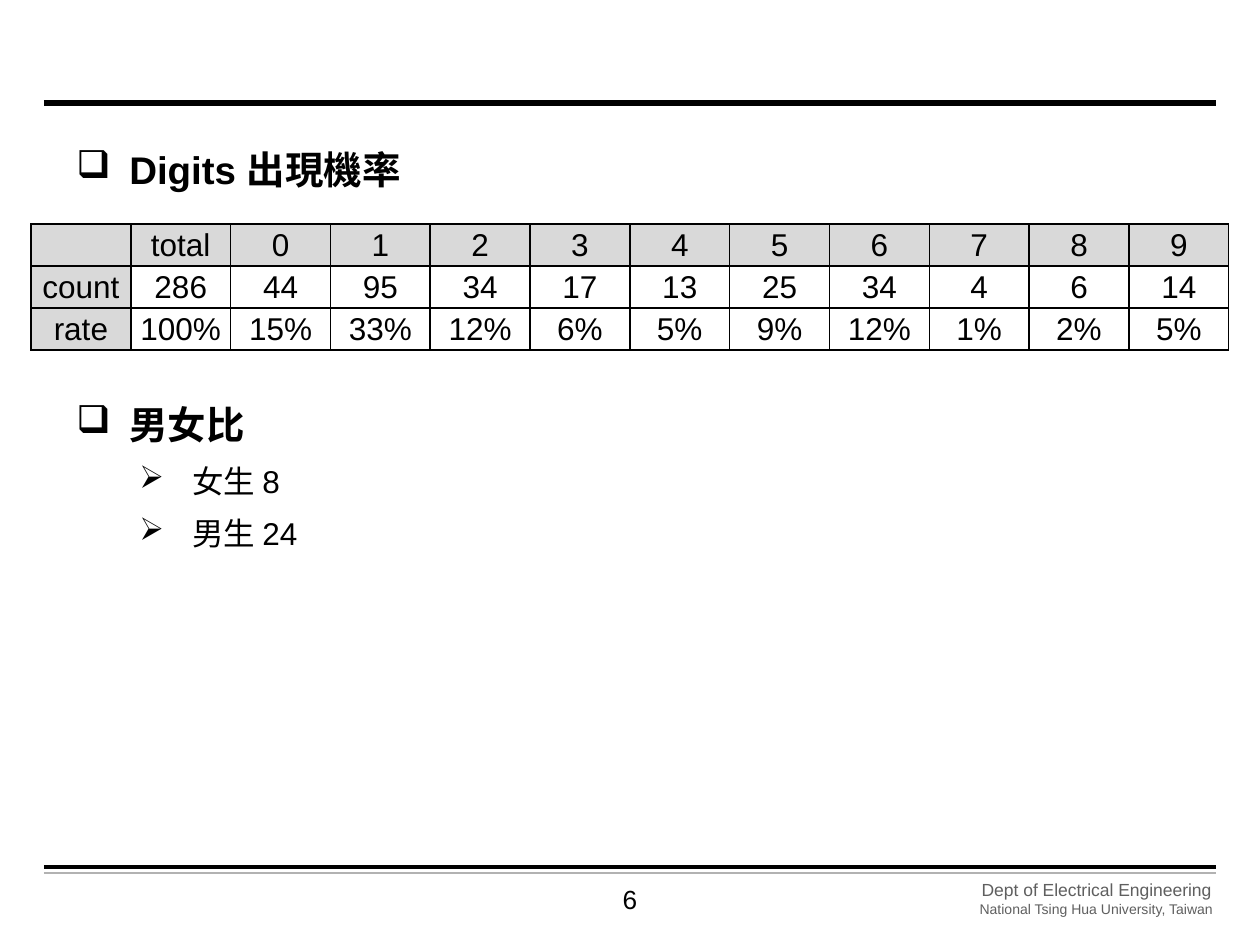
from dataclasses import dataclass

from lxml import etree
from pptx import Presentation
from pptx.dml.color import RGBColor
from pptx.enum.shapes import MSO_CONNECTOR
from pptx.enum.text import MSO_ANCHOR, PP_ALIGN
from pptx.oxml.ns import qn
from pptx.util import Pt

STRAIGHT = MSO_CONNECTOR.STRAIGHT
CENTER, LEFT = PP_ALIGN.CENTER, PP_ALIGN.LEFT
MIDDLE = MSO_ANCHOR.MIDDLE
EMU_PER_PX = 914400 // 126


@dataclass(frozen=True)
class Theme:
    """Colours and type sizes of the slide."""
    font: str = "Arial"
    ink: str = "000000"
    muted: str = "5F5F5F"
    shade: str = "B2B2B2"
    header: str = "D9D9D9"
    heading: int = 22
    item: int = 18
    number: int = 15
    department: int = 10
    university: int = 8
    line_spacing: float = 1.21


THEME = Theme()
DIGIT_ROWS = [
    ["", "total", "0", "1", "2", "3", "4", "5", "6", "7", "8", "9"],
    ["count", "286", "44", "95", "34", "17", "13", "25", "34", "4", "6", "14"],
    ["rate", "100%", "15%", "33%", "12%", "6%", "5%", "9%", "12%", "1%", "2%", "5%"],
]
OUTLINE = [
    (0, "Digits 出現機率", 4.4),
    (0, "男女比", 114),
    (1, "女生 8", 3.6),
    (1, "男生 24", 3.6),
]


def px(length):
    """Turn pixels into EMU."""
    return round(length * EMU_PER_PX)


def style_paragraph(paragraph, size, color=THEME.ink, bold=False, align=CENTER):
    """Set the alignment and font of a paragraph and its runs."""
    paragraph.alignment = align
    for font in [paragraph.font] + [run.font for run in paragraph.runs]:
        font.name = THEME.font
        font.size = Pt(size)
        font.bold = bold
        font.color.rgb = RGBColor.from_string(color)


def add_text_frame(slide, box, wrap=True):
    """Add a text box and return its text frame."""
    text_frame = slide.shapes.add_textbox(*map(px, box)).text_frame
    text_frame.word_wrap = wrap
    return text_frame


def add_rule(slide, left, top, width, color, weight):
    """Draw a horizontal rule."""
    connector = slide.shapes.add_connector(
        STRAIGHT, px(left), px(top), px(left + width), px(top))
    connector.line.color.rgb = RGBColor.from_string(color)
    connector.line.width = Pt(weight)
    etree.SubElement(connector._element.spPr, qn("a:effectLst"))


def set_bullet(paragraph, character, margin, hang):
    """Give a paragraph a hanging bullet."""
    properties = paragraph._p.get_or_add_pPr()
    properties.set("marL", str(px(margin)))
    properties.set("indent", str(px(-hang)))
    bullet = etree.Element(qn("a:buChar"), char=character)
    properties.insert_element_before(bullet, "a:tabLst", "a:defRPr", "a:extLst")


def add_outline(slide, box, entries):
    """Write the headings and their items."""
    text_frame = add_text_frame(slide, box)
    text_frame.text = "\n".join(text for _, text, _ in entries)
    for paragraph, (level, _, space) in zip(text_frame.paragraphs, entries):
        size = THEME.item if level else THEME.heading
        style_paragraph(paragraph, size, bold=level == 0, align=LEFT)
        paragraph.level = level
        paragraph.line_spacing = THEME.line_spacing
        paragraph.space_before = Pt(space)
        set_bullet(paragraph, "❑➢"[level], 53 + 63 * level, 53)


def set_borders(cell):
    """Draw thin lines on all four sides of a cell."""
    properties = cell._tc.get_or_add_tcPr()
    for side in ("lnL", "lnR", "lnT", "lnB"):
        line = etree.SubElement(properties, qn(f"a:{side}"), w=str(Pt(1)))
        fill = etree.SubElement(line, qn("a:solidFill"))
        etree.SubElement(fill, qn("a:srgbClr"), val=THEME.ink)


def add_digit_table(slide, box, rows):
    """Add the table of digit counts and rates."""
    left, top, width, height = box
    table = slide.shapes.add_table(len(rows), len(rows[0]), *map(px, box)).table
    table.first_row = table.horz_banding = False
    for column in table.columns:
        column.width = px(width / len(rows[0]))
    for row_index, texts in enumerate(rows):
        table.rows[row_index].height = px(height / len(rows))
        for column_index, text in enumerate(texts):
            cell = table.cell(row_index, column_index)
            cell.text = text
            cell.vertical_anchor = MIDDLE
            cell.margin_left = cell.margin_right = cell.margin_top = px(1)
            cell.margin_bottom = 0
            style_paragraph(cell.text_frame.paragraphs[0], THEME.item)
            set_borders(cell)
            if row_index == 0 or column_index == 0:
                cell.fill.solid()
                cell.fill.fore_color.rgb = RGBColor.from_string(THEME.header)
            else:
                cell.fill.background()


def add_footer(slide, box):
    """Add the double rule, page number and department below the content."""
    left, top, width, height = box
    add_rule(slide, left, top, width, THEME.ink, 2.5)
    add_rule(slide, left, top + 6, width, THEME.shade, 1)
    number = add_text_frame(slide, (left + 464, top + 10, 244, 43))
    number.text = "6"
    style_paragraph(number.paragraphs[0], THEME.number)
    credit = add_text_frame(slide, (left + 921, top + 6, 263, height - 6), wrap=False)
    credit.text = "Dept of Electrical Engineering\nNational Tsing Hua University, Taiwan"
    for paragraph, size in zip(credit.paragraphs, (THEME.department, THEME.university)):
        style_paragraph(paragraph, size, THEME.muted)


def main():
    """Build and save the slide."""
    presentation = Presentation()
    presentation.slide_width, presentation.slide_height = px(1260), px(945)
    slide = presentation.slides.add_slide(presentation.slide_layouts[6])
    add_rule(slide, 44, 103, 1172, THEME.ink, 3)
    add_footer(slide, (44, 867, 1172, 56))
    add_outline(slide, (64, 130, 1125, 713), OUTLINE)
    add_digit_table(slide, (31, 224, 1198, 126), DIGIT_ROWS)
    presentation.save("out.pptx")


if __name__ == "__main__":
    main()
